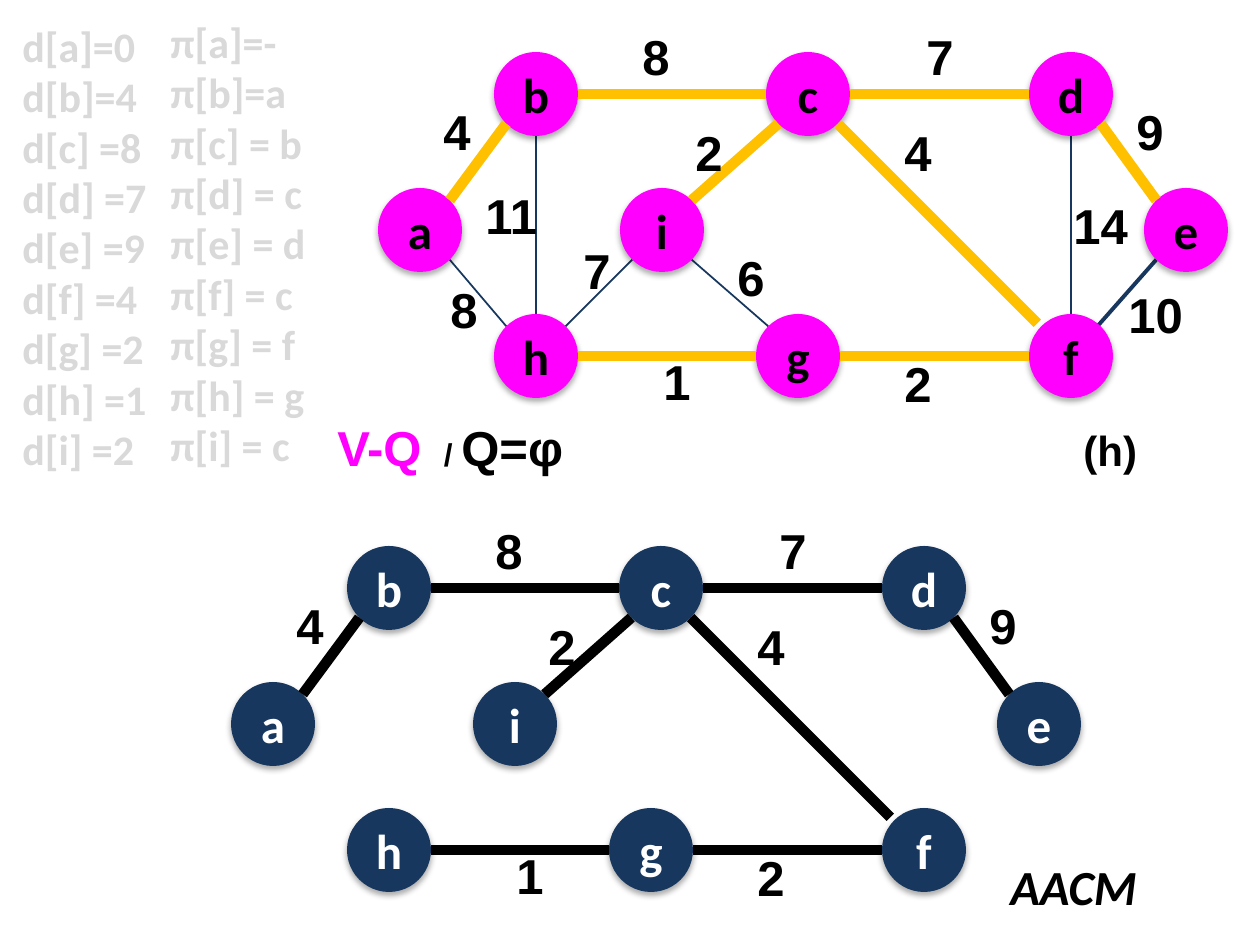
from lxml.etree import SubElement
from pptx import Presentation
from pptx.dml.color import RGBColor
from pptx.enum.shapes import MSO_CONNECTOR, MSO_SHAPE
from pptx.enum.text import MSO_ANCHOR, MSO_AUTO_SIZE, PP_ALIGN
from pptx.oxml.ns import qn
from pptx.util import Emu, Pt

BLACK = RGBColor(0x00, 0x00, 0x00)
WHITE = RGBColor(0xFF, 0xFF, 0xFF)
MAGENTA = RGBColor(0xFF, 0x00, 0xFF)
NAVY = RGBColor(0x17, 0x37, 0x5E)
GOLD = RGBColor(0xFF, 0xC0, 0x00)
GREY = RGBColor(0xD9, 0xD9, 0xD9)

PX = 914400 // 126
NODE = 84
LABEL_H = 72
TREE_WIDTH = 6

# Top-left corner of each node
NODES = {
    "b": (494, 52), "c": (766, 52), "d": (1029, 52),
    "a": (378, 188), "i": (620, 188), "e": (1144, 188),
    "h": (494, 314), "g": (756, 314), "f": (1029, 314),
}
# Edge, weight, then left, top and width of the weight label
TREE = [
    ("bc", "8", 630, 20, 63), ("cd", "7", 914, 20, 63),
    ("gf", "2", 892, 347, 84), ("hg", "1", 651, 345, 84),
    ("ba", "4", 431, 95, 63), ("de", "9", 1124, 95, 63),
    ("ci", "2", 683, 116, 84), ("cf", "4", 892, 116, 84),
]
OTHER = [
    ("ef", "10", 1116, 278, 84), ("df", "14", 1061, 189, 84),
    ("bh", "11", 473, 179, 84), ("ah", "8", 438, 273, 84),
    ("ih", "7", 571, 234, 84), ("ig", "6", 725, 241, 84),
]
OTHER_WIDTHS = {"ef": 2.25, "df": 1.5}
END_NUDGES = {"ef": (-20, 19), "cf": (-4, -3)}
TREE_SHIFT = (-147, 494)

DISTANCES = ["d[a]=0", "d[b]=4", "d[c] =8", "d[d] =7", "d[e] =9",
             "d[f] =4", "d[g] =2", "d[h] =1", "d[i] =2"]
PARENTS = ["π[a]=-", "π[b]=a", "π[c] = b", "π[d] = c", "π[e] = d",
           "π[f] = c", "π[g] = f", "π[h] = g", "π[i] = c"]


def px(*values):
    return [Emu(round(v * PX)) for v in values]


def add_run(p, text, size=28, color=BLACK, font="Arial", italic=None):
    r = p.add_run()
    r.text = text
    r.font.size = Pt(size)
    r.font.name = font
    r.font.bold = True
    r.font.italic = italic
    r.font.color.rgb = color


def add_text(shapes, box, paragraphs):
    """Each paragraph is a list of runs, each run the arguments of add_run."""
    tf = shapes.add_textbox(*px(*box)).text_frame
    tf.word_wrap = True
    tf.auto_size = MSO_AUTO_SIZE.SHAPE_TO_FIT_TEXT
    for n, runs in enumerate(paragraphs):
        p = tf.add_paragraph() if n else tf.paragraphs[0]
        for run in runs:
            add_run(p, *run)


def add_node(shapes, name, x, y, fill, color):
    sp = shapes.add_shape(MSO_SHAPE.OVAL, *px(x, y, NODE, NODE))
    sp.fill.solid()
    sp.fill.fore_color.rgb = fill
    sp.line.fill.background()
    sp.shadow.inherit = False
    effects = sp.element.spPr.find(qn("a:effectLst"))
    shadow = SubElement(effects, qn("a:outerShdw"), blurRad=str(Pt(3.5)),
                        dist=str(Pt(2.2)), dir="5400000", rotWithShape="0")
    tint = SubElement(shadow, qn("a:srgbClr"), val=str(BLACK))
    SubElement(tint, qn("a:alpha"), val="32000")
    tf = sp.text_frame
    tf.vertical_anchor = MSO_ANCHOR.MIDDLE
    p = tf.paragraphs[0]
    p.alignment = PP_ALIGN.CENTER
    add_run(p, name, 28, color, "Calibri")


def rim_point(node, other):
    """Point on the rim of node, in the one of 8 directions facing other."""
    (x, y), (ox, oy) = NODES[node], NODES[other]
    sx, sy = (ox > x) - (ox < x), (oy > y) - (oy < y)
    reach = NODE / 2 * (0.707 if sx and sy else 1)
    return x + NODE / 2 + sx * reach, y + NODE / 2 + sy * reach


def add_edge(shapes, edge, shift, color, width):
    dx, dy = shift
    u, v = edge
    x1, y1 = rim_point(u, v)
    x2, y2 = rim_point(v, u)
    nx, ny = END_NUDGES.get(edge, (0, 0))
    line = shapes.add_connector(
        MSO_CONNECTOR.STRAIGHT,
        *px(x1 + dx, y1 + dy, x2 + nx + dx, y2 + ny + dy))
    line.line.color.rgb = color
    line.line.width = Pt(width)
    SubElement(line.element.spPr, qn("a:effectLst"))


def add_graph(slide, others, shift, fill, name_color, tree_color):
    shapes = slide.shapes.add_group_shape().shapes
    dx, dy = shift
    for edge, *_ in others:
        add_edge(shapes, edge, shift, NAVY, OTHER_WIDTHS.get(edge, 1))
    for name, (x, y) in NODES.items():
        add_node(shapes, name, x + dx, y + dy, fill, name_color)
    for edge, *_ in TREE:
        add_edge(shapes, edge, shift, tree_color, TREE_WIDTH)
    for _, weight, x, y, w in TREE + others:
        add_text(shapes, (x + dx, y + dy, w, LABEL_H), [[(weight,)]])


def main():
    prs = Presentation()
    prs.slide_width, prs.slide_height = px(1260, 945)
    slide = prs.slides.add_slide(prs.slide_layouts[6])

    add_graph(slide, OTHER, (0, 0), MAGENTA, BLACK, GOLD)
    add_text(slide.shapes, (1071, 418, 105, 63), [[("(h)", 24)]])
    add_text(slide.shapes, (325, 411, 315, LABEL_H),
             [[("V-Q ", 28, MAGENTA), (" / ", 18), ("Q=φ",)]])
    add_graph(slide, [], TREE_SHIFT, NAVY, WHITE, BLACK)
    add_text(slide.shapes, (998, 850, 210, LABEL_H),
             [[("AACM", 28, BLACK, "Calibri", True)]])
    for box, lines in [((10, 14, 194, 522), DISTANCES),
                       ((158, 10, 220, 509), PARENTS)]:
        add_text(slide.shapes, box,
                 [[(line, 24, GREY, "Calibri")] for line in lines])

    prs.save("out.pptx")


if __name__ == "__main__":
    main()
